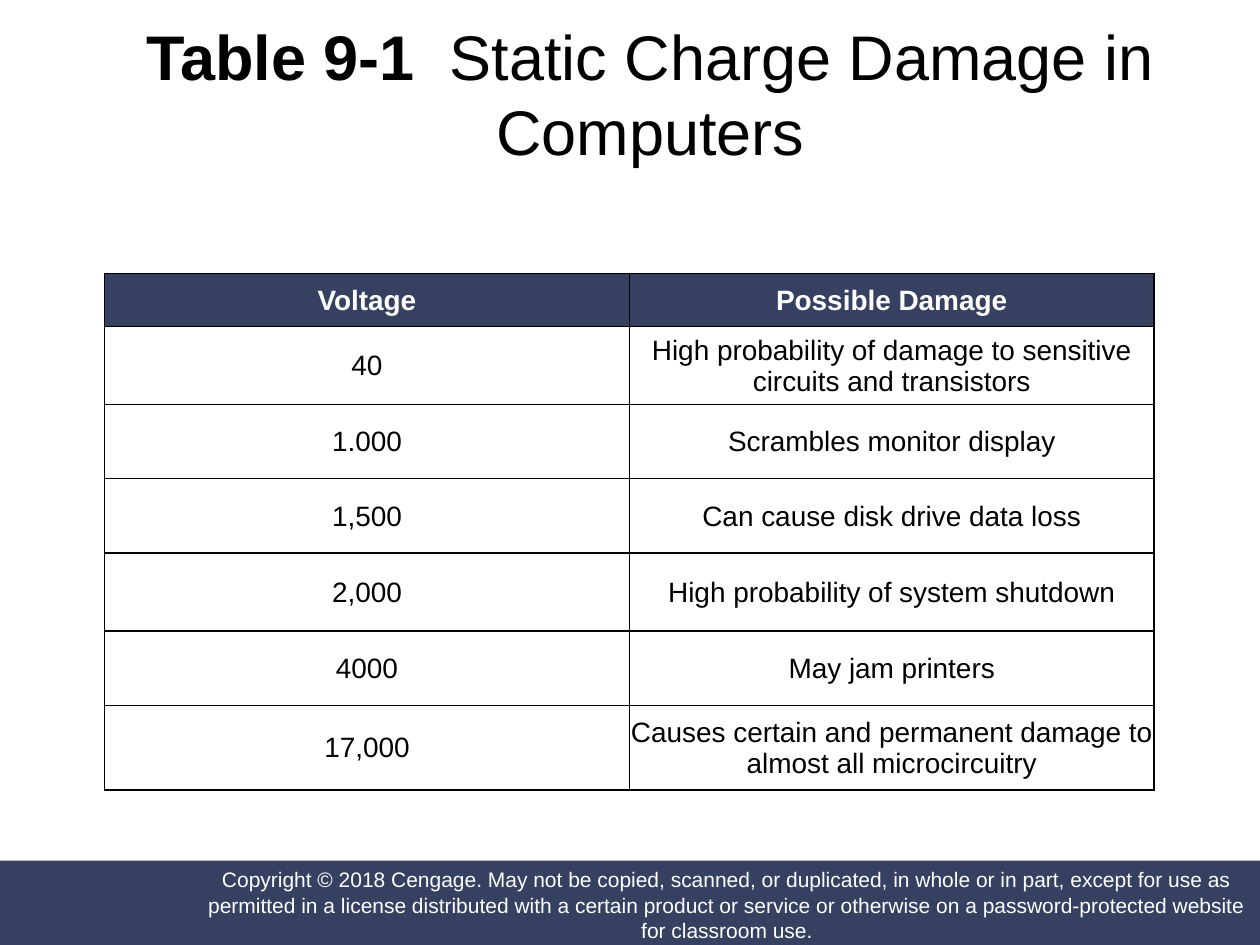
"""Build the slide with the table of static charge damage in computers."""
from lxml import etree
from pptx import Presentation
from pptx.dml.color import RGBColor
from pptx.enum.shapes import MSO_SHAPE
from pptx.enum.text import MSO_ANCHOR, PP_ALIGN
from pptx.oxml import parse_xml
from pptx.oxml.ns import nsdecls
from pptx.util import Inches, Pt

CENTER = PP_ALIGN.CENTER
MIDDLE = MSO_ANCHOR.MIDDLE
RECTANGLE = MSO_SHAPE.RECTANGLE

FONT = "Arial"
NAVY, BLACK, WHITE = "364162", "000000", "FFFFFF"

TITLE = [("Table 9-1  ", True), ("Static Charge Damage in Computers", False)]
COPYRIGHT = (
    "Copyright © 2018 Cengage. May not be copied, scanned, or duplicated, in whole or in part, "
    "except for use as permitted in a license distributed with a certain product or service or "
    "otherwise on a password-protected website for classroom use."
)
ROWS = [
    (0.42, "Voltage", "Possible Damage"),
    (0.62, "40", "High probability of damage to sensitive circuits and transistors"),
    (0.59, "1.000", "Scrambles monitor display"),
    (0.59, "1,500", "Can cause disk drive data loss"),
    (0.62, "2,000", "High probability of system shutdown"),
    (0.59, "4000", "May jam printers"),
    (0.67, "17,000", "Causes certain and permanent damage to almost all microcircuitry"),
]
TABLE_LEFT, TABLE_TOP, TABLE_WIDTH = 0.83, 2.17, 8.33


def color(value):
    return RGBColor.from_string(value)


def format_paragraph(paragraph, size, text_color):
    paragraph.alignment = CENTER
    paragraph.font.name = FONT
    paragraph.font.size = Pt(size)
    paragraph.font.color.rgb = color(text_color)


def set_margins(target, left, top, right, bottom):
    target.margin_left, target.margin_top = Inches(left), Inches(top)
    target.margin_right, target.margin_bottom = Inches(right), Inches(bottom)


def add_band(slide, left, top, width, height):
    band = slide.shapes.add_shape(
        RECTANGLE, Inches(left), Inches(top), Inches(width), Inches(height))
    band.shadow.inherit = False
    band.fill.solid()
    band.fill.fore_color.rgb = color(NAVY)
    band.line.fill.background()
    return band


def add_footer(slide):
    add_band(slide, -0.01, 6.83, 10.01, 0.68)
    frame = add_band(slide, 1.62, 6.86, 8.3, 0.64).text_frame
    frame.word_wrap = True
    frame.vertical_anchor = MIDDLE
    set_margins(frame, 0, 0, 0, 0)
    frame.text = COPYRIGHT
    format_paragraph(frame.paragraphs[0], 12, WHITE)


def fill_title(title):
    title.left, title.top = Inches(0.57), Inches(0.14)
    title.width, title.height = Inches(9.18), Inches(1.19)
    title.text_frame.vertical_anchor = MIDDLE
    paragraph = title.text_frame.paragraphs[0]
    for text, bold in TITLE:
        run = paragraph.add_run()
        run.text = text
        run.font.bold = bold
    format_paragraph(paragraph, 36, BLACK)


def add_borders(cell):
    properties = cell._tc.get_or_add_tcPr()
    for side in ("lnL", "lnR", "lnT", "lnB"):
        border = parse_xml(f'<a:{side} {nsdecls("a")} w="{Pt(1)}"/>')
        fill = etree.SubElement(border, border.tag.replace(side, "solidFill"))
        etree.SubElement(fill, border.tag.replace(side, "srgbClr"), val=BLACK)
        properties.append(border)


def fill_cell(cell, text, is_header):
    set_margins(cell, 0.01, 0.01, 0.01, 0)
    cell.vertical_anchor = MIDDLE
    add_borders(cell)
    if is_header:
        cell.fill.solid()
        cell.fill.fore_color.rgb = color(NAVY)
    else:
        cell.fill.background()
    cell.text = text
    paragraph = cell.text_frame.paragraphs[0]
    format_paragraph(paragraph, 16, WHITE if is_header else BLACK)
    paragraph.font.bold = is_header


def add_damage_table(slide):
    height = sum(row[0] for row in ROWS)
    table = slide.shapes.add_table(
        len(ROWS), 2, Inches(TABLE_LEFT), Inches(TABLE_TOP),
        Inches(TABLE_WIDTH), Inches(height)).table
    table.horz_banding = False
    for row_index, (row_height, *texts) in enumerate(ROWS):
        table.rows[row_index].height = Inches(row_height)
        for column_index, text in enumerate(texts):
            fill_cell(table.cell(row_index, column_index), text, row_index == 0)


def main():
    presentation = Presentation()
    presentation.slide_width, presentation.slide_height = Inches(10), Inches(7.5)
    slide = presentation.slides.add_slide(presentation.slide_layouts[5])
    add_footer(slide)
    fill_title(slide.shapes.title)
    add_damage_table(slide)
    presentation.save("out.pptx")


if __name__ == "__main__":
    main()
